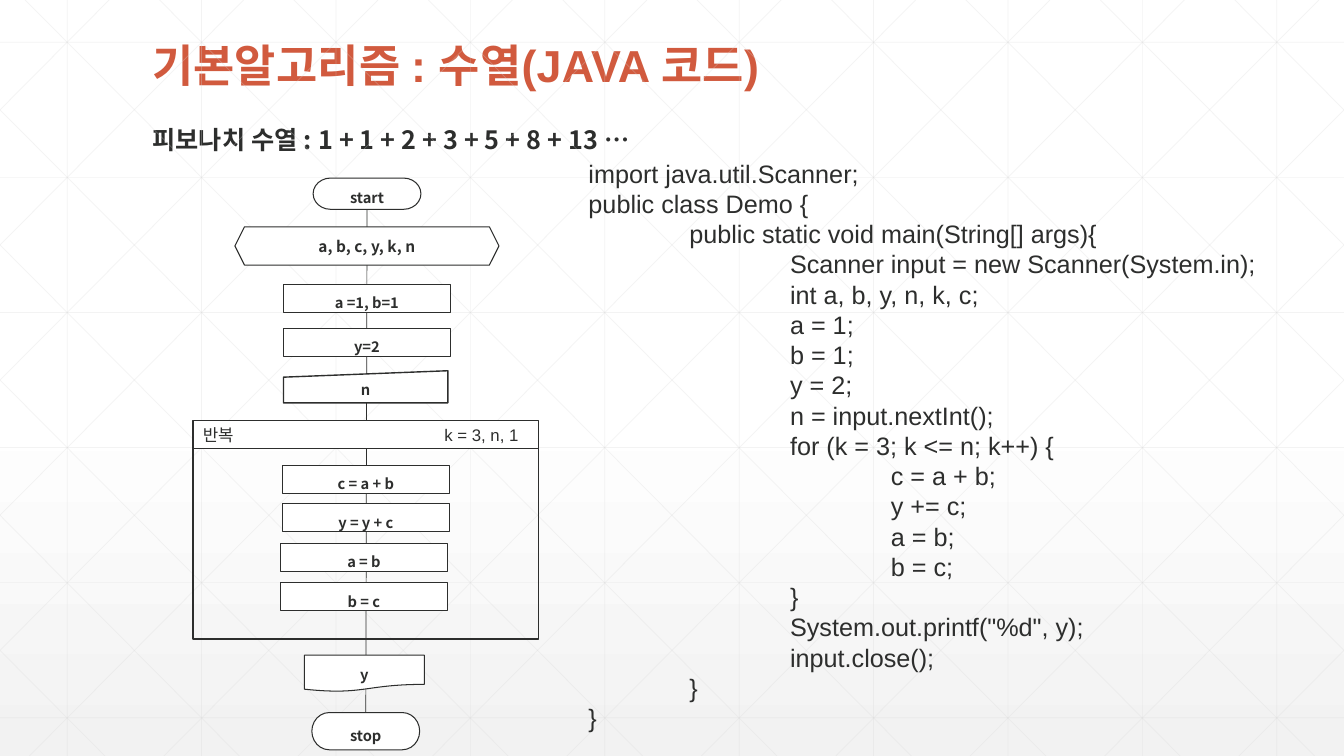
from lxml.etree import SubElement
from pptx import Presentation
from pptx.dml.color import RGBColor
from pptx.enum.shapes import MSO_CONNECTOR, MSO_SHAPE
from pptx.enum.text import MSO_ANCHOR, MSO_AUTO_SIZE, PP_ALIGN
from pptx.oxml.ns import qn
from pptx.util import Pt

WIDTH, HEIGHT = 960, 540
INK, ACCENT, WHITE, GRID = "2D2E2D", "D15A3E", "FFFFFF", "D9D9D9"
LATIN, KOREAN = "Arial", "Noto Sans CJK KR"
STEP_WIDTH, STEP_HEIGHT = 119.5, 20

# kind, left, top, width, height, text
STEPS = [
    (MSO_SHAPE.FLOWCHART_TERMINATOR, 223.7, 127.2, 77, 22.3, "start"),
    (MSO_SHAPE.FLOWCHART_TERMINATOR, 222.8, 509, 77, 26.6, "stop"),
    (MSO_SHAPE.FLOWCHART_DOCUMENT, 217.4, 468, 85.7, 26, "y"),
]
PROCESSES = [
    (202.3, 203, "a =1, b=1"),
    (202.3, 234.7, "y=2"),
    (201.6, 332.6, "c = a + b"),
    (201.6, 360, "y = y + c"),
    (200.2, 388, "a = b"),
    (200.2, 416.4, "b = c"),
]
CODE = """import java.util.Scanner;
public class Demo {
\tpublic static void main(String[] args){
\t\tScanner input = new Scanner(System.in);
\t\tint a, b, y, n, k, c;
\t\ta = 1;
\t\tb = 1;
\t\ty = 2;
\t\tn = input.nextInt();
\t\tfor (k = 3; k <= n; k++) {
\t\t\tc = a + b;
\t\t\ty += c;
\t\t\ta = b;
\t\t\tb = c;
\t\t}
\t\tSystem.out.printf("%d", y);
\t\tinput.close();
\t}
}"""


def color(value):
    return RGBColor.from_string(value)


def place(shape, left, top, width, height):
    shape.left, shape.top = Pt(left), Pt(top)
    shape.width, shape.height = Pt(width), Pt(height)


def add_span(para, text, size, font, ink=INK, bold=False):
    span = para.add_run()
    span.text = text
    span.font.size, span.font.name, span.font.bold = Pt(size), font, bold
    span.font.color.rgb = color(ink)
    SubElement(span.font._element, qn("a:ea"), typeface=KOREAN)
    return span


def add_line(shapes, start, end, ink, opacity=100):
    line = shapes.add_connector(MSO_CONNECTOR.STRAIGHT, *map(Pt, start + end))
    line.line.color.rgb = color(ink)
    line.line.width = Pt(0.5)
    SubElement(line._element.spPr, qn("a:effectLst"))
    if opacity < 100:
        tint = line._element.spPr.find(".//" + qn("a:srgbClr"))
        SubElement(tint, qn("a:alpha"), val=str(opacity * 1000))
    return line


def add_background(page):
    fill = page.background.fill
    fill.gradient()
    fill.gradient_angle = 270
    for stop, position, value in zip(fill.gradient_stops, (0.53, 1), (WHITE, "F2F2F2")):
        stop.position = position
        stop.color.rgb = color(value)


def add_grid(page):
    """Draw the faint lattice: verticals, horizontals and mirrored diagonals."""
    shapes = page.shapes.add_group_shape().shapes
    for column in range(10):
        x = 48 + 96 * column
        add_line(shapes, (x, 0), (x, HEIGHT), GRID, 30)
    for row in range(6):
        y = 30.24 + 96.48 * row
        add_line(shapes, (0, y), (WIDTH, y), GRID, 30)
    slope = 537 / HEIGHT
    for step in range(-5, 10):
        origin = 18 + 96 * step
        left = max(origin, 0)
        right = min(origin + 537, WIDTH)
        top, bottom = (left - origin) / slope, (right - origin) / slope
        add_line(shapes, (left, top), (right, bottom), GRID, 30)
        add_line(shapes, (WIDTH - left, top), (WIDTH - right, bottom), GRID, 30)


def fill_placeholder(shape, area, text, size, font, ink, spacing):
    place(shape, *area)
    frame = shape.text_frame
    frame.auto_size = MSO_AUTO_SIZE.NONE
    frame.word_wrap = True
    frame.vertical_anchor = MSO_ANCHOR.TOP
    para = frame.paragraphs[0]
    para.alignment = PP_ALIGN.LEFT
    para.line_spacing = spacing
    para.space_before = Pt(0)
    properties = para._element.get_or_add_pPr()
    properties.set("marL", "0")
    properties.set("indent", "0")
    SubElement(properties, qn("a:buNone"))
    span = add_span(para, text, size, font, ink, bold=True)
    span.font._element.set("spc", "10")


def add_outline(page, kind, area, weight, fill=WHITE):
    box = page.shapes.add_shape(kind, *map(Pt, area))
    box.shadow.inherit = False
    if fill:
        box.fill.solid()
        box.fill.fore_color.rgb = color(fill)
    else:
        box.fill.background()
    box.line.color.rgb = color(INK)
    box.line.width = Pt(weight)
    box.text_frame.vertical_anchor = MSO_ANCHOR.MIDDLE
    return box


def add_step(page, kind, area, text, size=10.5, weight=0.75, spacing=1.5):
    box = add_outline(page, kind, area, weight)
    frame = box.text_frame
    frame.margin_left = frame.margin_right = frame.margin_top = frame.margin_bottom = 0
    para = frame.paragraphs[0]
    para.alignment = PP_ALIGN.CENTER
    para.line_spacing = spacing
    add_span(para, text, size, KOREAN, bold=True)
    return box


def add_loop(page):
    add_outline(page, MSO_SHAPE.RECTANGLE, (137.8, 320.2, 247, 136.3), 1, fill=None)
    header = add_outline(page, MSO_SHAPE.RECTANGLE, (137.8, 300.5, 247, 19.7), 1)
    para = header.text_frame.paragraphs[0]
    para.alignment = PP_ALIGN.LEFT
    tabs = SubElement(para._element.get_or_add_pPr(), qn("a:tabLst"))
    SubElement(tabs, qn("a:tab"), pos=str(Pt(225.6)), algn="r")
    add_span(para, "반복\tk = 3, n, 1", 12, LATIN)


def add_flowchart(page):
    flow = add_line(page.shapes, (262.2, 149.5), (261.3, 509), INK)
    start, stop, _ = [add_step(page, kind, area, text) for kind, *area, text in STEPS]
    flow.begin_connect(start, 2)
    flow.end_connect(stop, 0)
    add_step(page, MSO_SHAPE.HEXAGON, (167.8, 162, 188.6, 27.4),
             "a, b, c, y, k, n", size=11, spacing=1)
    add_loop(page)
    for left, top, text in PROCESSES:
        add_step(page, MSO_SHAPE.RECTANGLE, (left, top, STEP_WIDTH, STEP_HEIGHT), text)
    add_step(page, MSO_SHAPE.FLOWCHART_MANUAL_INPUT, (202.5, 264.8, 117.4, 23),
             "n", weight=1, spacing=1)


def add_code(page):
    box = page.shapes.add_textbox(*map(Pt, (413.3, 109.4, 527.8, 421.9)))
    frame = box.text_frame
    frame.word_wrap = True
    for number, line in enumerate(CODE.split("\n")):
        para = frame.add_paragraph() if number else frame.paragraphs[0]
        para._element.get_or_add_pPr().set("defTabSz", str(Pt(72)))
        add_span(para, line, 18, LATIN)


def main():
    deck = Presentation()
    deck.slide_width, deck.slide_height = Pt(WIDTH), Pt(HEIGHT)
    page = deck.slides.add_slide(deck.slide_layouts[1])
    add_background(page)
    add_grid(page)
    title, body = page.placeholders
    fill_placeholder(title, (101.5, 28, 756, 44), "기본알고리즘 : 수열(JAVA 코드)",
                     32, LATIN, ACCENT, 0.9)
    fill_placeholder(body, (101.5, 74.2, 756, 40.3),
                     "피보나치 수열 : 1 + 1 + 2 + 3 + 5 + 8 + 13 …", 18, KOREAN, INK, 1.5)
    add_flowchart(page)
    add_code(page)
    deck.save("out.pptx")


if __name__ == "__main__":
    main()
